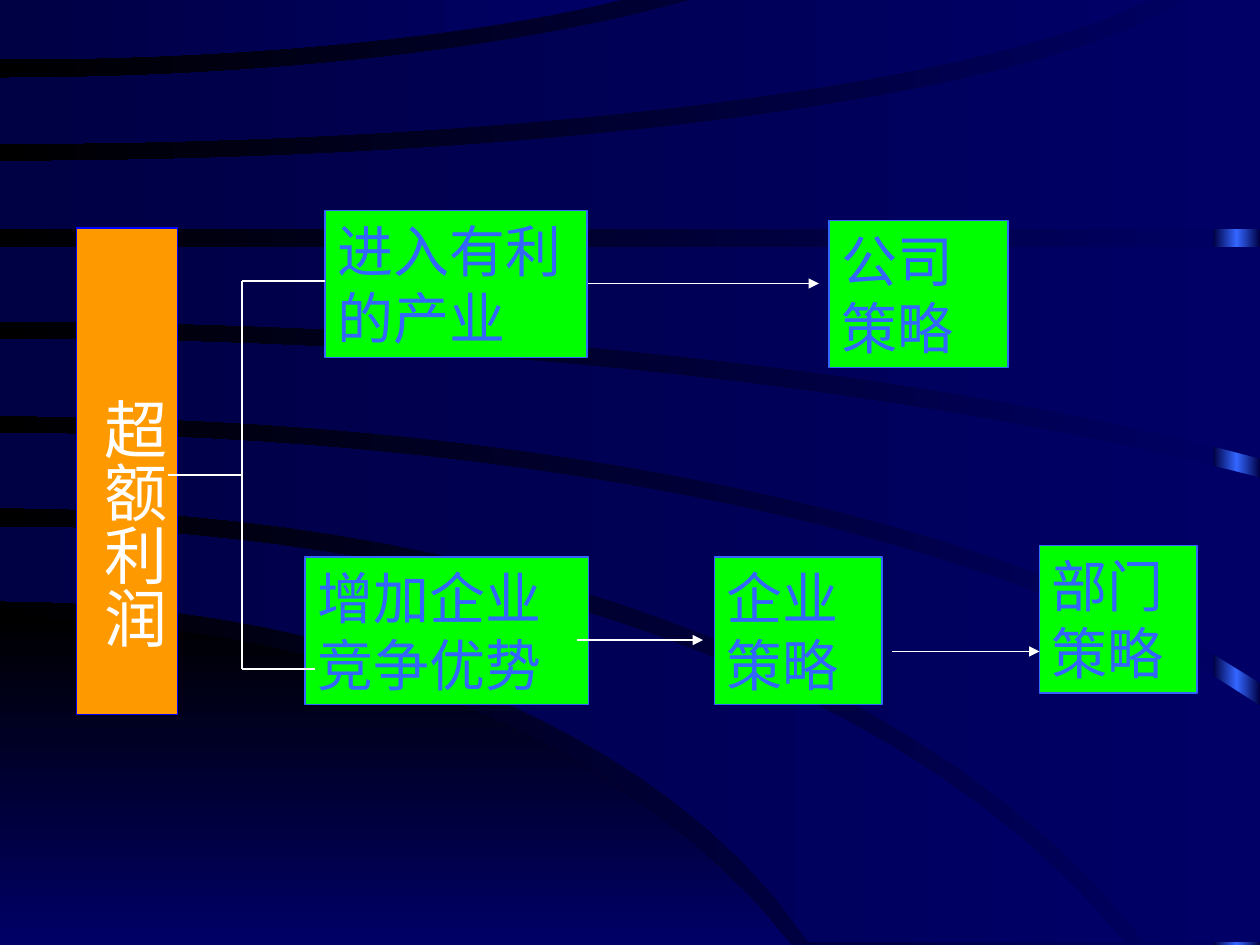
import math
from dataclasses import dataclass

from lxml import etree
from pptx import Presentation
from pptx import util as u
from pptx.dml import color
from pptx.enum import shapes, text
from pptx.oxml import ns


@dataclass(frozen=True)
class Theme:
    navy: str = "000066"
    midnight: str = "000044"
    black: str = "000000"
    blue: str = "3366FF"
    deep_blue: str = "0000FF"
    green: str = "00FF00"
    orange: str = "FF9900"
    white: str = "FFFFFF"
    font: str = "Times New Roman"
    box_size: int = 32
    pillar_size: int = 36
    line_width: float = 0.75


def arc(start_y, middle, end, steps=24):
    (x1, y1), (x2, y2) = middle, end
    d1, d2 = y1 - start_y, y2 - start_y
    radius = ((d1 / x1) ** 2 - (d2 / x2) ** 2) / (2 * (d1 / x1**2 - d2 / x2**2))
    ratio = (2 * d2 * radius - d2**2) / x2**2
    points = []
    for step in range(steps + 1):
        x = x2 * step / steps
        root = math.sqrt(max(radius**2 - ratio * x**2, 0))
        points.append((x, start_y + radius - math.copysign(root, radius)))
    return points


TOP = -0.02
FLOOR = arc(4.91, (3.05, 5.38), (6.28, 7.5)) + [(0, 7.5)]
BANDS = [
    (arc(4.18, (4.72, 4.88), (8.93, 7.48)), arc(4.77, (3.76, 5.47), (6.42, 7.48))),
    (arc(3.44, (5.21, 3.89), (10, 5.6)) + [(10, 7.48)],
     arc(4.03, (5.21, 4.89), (9.09, 7.48))),
    (arc(2.69, (5.23, 2.96), (10, 3.79)), arc(3.3, (5.6, 3.82), (10, 5.42))),
    ([(0, 1.96), (10, 1.96)], arc(2.55, (5.52, 2.84), (10, 3.64))),
    (arc(1.28, (5.97, 0.92), (9.43, TOP)), [(0, 1.82), (10, 1.82), (10, TOP)]),
    (arc(0.62, (3.47, 0.4), (5.56, TOP)), arc(1.14, (6.14, 0.75), (9.17, TOP))),
    ([(0, TOP)], arc(0.47, (2.89, 0.33), (5.01, TOP))),
]

STRATEGY_BOXES = [
    ("部门策略", 8.25, 4.33, 1.25),
    ("进入有利的产业", 2.58, 1.67, 2.08),
    ("公司策略", 6.58, 1.75, 1.42),
    ("增加企业竞争优势", 2.42, 4.42, 2.25),
    ("企业策略", 5.67, 4.42, 1.33),
]
BOX_HEIGHT = 1.17

ARROWS = [(4.67, 2.25, 6.5), (4.58, 5.08, 5.58), (7.08, 5.17, 8.25)]
TRUNK_X, UPPER_Y, MIDDLE_Y, LOWER_Y = 1.92, 2.23, 3.77, 5.31
BRACKET = [
    (TRUNK_X, UPPER_Y, TRUNK_X, LOWER_Y),
    (TRUNK_X, UPPER_Y, 2.58, UPPER_Y),
    (TRUNK_X, LOWER_Y, 2.5, LOWER_Y),
    (1.33, MIDDLE_Y, TRUNK_X, MIDDLE_Y),
]


class SlideBuilder:
    """Draws styled elements on the current slide."""

    def __init__(self, slide, theme):
        self.slide = slide
        self.theme = theme

    def gradient(self, fill, element, colors, angle=180):
        fill.gradient()
        fill.gradient_angle = angle
        stops = element.find(".//" + ns.qn("a:gsLst"))
        stops.clear()
        for index, value in enumerate(colors):
            position = str(100000 * index // (len(colors) - 1))
            stop = etree.SubElement(stops, ns.qn("a:gs"), pos=position)
            etree.SubElement(stop, ns.qn("a:srgbClr"), val=value)

    def background(self, colors):
        self.gradient(self.slide.background.fill, self.slide.element, colors)

    def rectangle(self, left, top, width, height):
        shape = self.slide.shapes.add_shape(
            shapes.MSO_SHAPE.RECTANGLE, *map(u.Inches, (left, top, width, height)))
        shape.shadow.inherit = False
        return shape

    def strip(self, left, top, width, height, colors):
        shape = self.rectangle(left, top, width, height)
        self.gradient(shape.fill, shape.element, colors)
        shape.line.fill.background()

    def outline(self, points, colors, angle=180):
        start, *rest = [(u.Inches(x), u.Inches(y)) for x, y in points]
        builder = self.slide.shapes.build_freeform(*start)
        builder.add_line_segments(rest, close=True)
        shape = builder.convert_to_shape()
        shape.shadow.inherit = False
        self.gradient(shape.fill, shape.element, colors, angle)
        shape.line.fill.background()

    def box(self, label, bounds, fill, line, ink, size, vertical_indent=None):
        shape = self.rectangle(*bounds)
        shape.fill.solid()
        shape.fill.fore_color.rgb = color.RGBColor.from_string(fill)
        shape.line.color.rgb = color.RGBColor.from_string(line)
        shape.line.width = u.Pt(self.theme.line_width)
        frame = shape.text_frame
        frame.text = label
        frame.word_wrap = True
        frame.vertical_anchor = text.MSO_ANCHOR.TOP
        side, end = (0.1, 0.05) if vertical_indent is None else (0.05, 0.1)
        frame.margin_left = frame.margin_right = u.Inches(side)
        frame.margin_top = frame.margin_bottom = u.Inches(end)
        paragraph = frame.paragraphs[0]
        paragraph.alignment = text.PP_ALIGN.LEFT
        if vertical_indent is not None:
            shape.element.txBody.bodyPr.set("vert", "eaVert")
            paragraph._p.get_or_add_pPr().set("marL", str(u.Inches(vertical_indent)))
        font = paragraph.runs[0].font
        font.name = self.theme.font
        font.size = u.Pt(size)
        font.color.rgb = color.RGBColor.from_string(ink)

    def line(self, x1, y1, x2, y2, arrow=False):
        connector = self.slide.shapes.add_connector(
            shapes.MSO_CONNECTOR.STRAIGHT, *map(u.Inches, (x1, y1, x2, y2)))
        connector.line.color.rgb = color.RGBColor.from_string(self.theme.white)
        connector.line.width = u.Pt(self.theme.line_width)
        if arrow:
            etree.SubElement(connector.line._get_or_add_ln(), ns.qn("a:tailEnd"), type="triangle")
        etree.SubElement(connector._element.spPr, ns.qn("a:effectLst"))


def main():
    theme = Theme()
    presentation = Presentation()
    presentation.slide_width = u.Inches(10)
    presentation.slide_height = u.Inches(7.5)
    builder = SlideBuilder(presentation.slides.add_slide(presentation.slide_layouts[6]), theme)

    builder.background([theme.navy, theme.black])
    builder.strip(9.63, 0, 0.37, 7.5, [theme.midnight, theme.blue, theme.midnight])
    builder.outline(FLOOR, [theme.black, theme.navy], angle=270)
    for upper, lower in BANDS:
        builder.outline(upper + lower[::-1], [theme.navy, theme.midnight])

    builder.box("超额利润", (0.61, 1.81, 0.8, 3.86), theme.orange, theme.deep_blue,
                theme.white, theme.pillar_size, vertical_indent=1.25)
    for label, left, top, width in STRATEGY_BOXES:
        builder.box(label, (left, top, width, BOX_HEIGHT), theme.green, theme.blue,
                    theme.blue, theme.box_size)
    for start, y, end in ARROWS:
        builder.line(start, y, end, y, arrow=True)
    for ends in BRACKET:
        builder.line(*ends)
    presentation.save("out.pptx")


if __name__ == "__main__":
    main()
